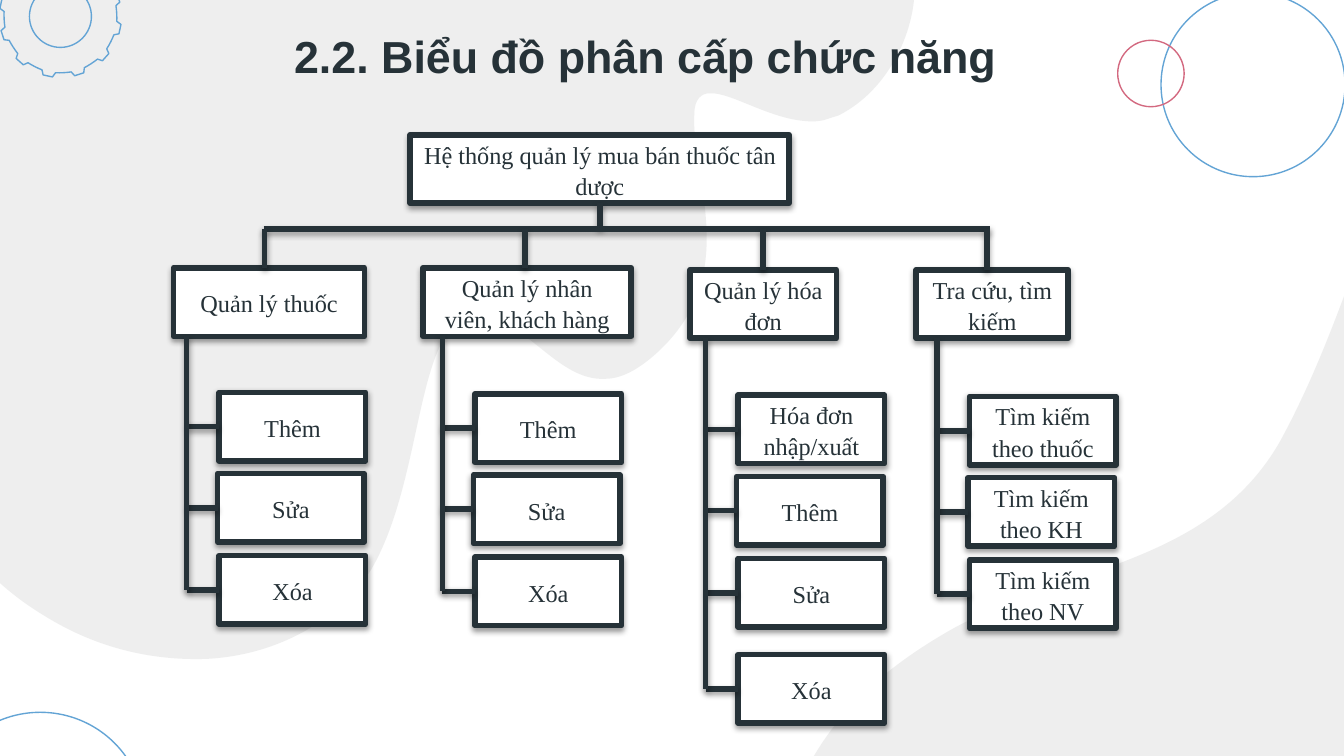
from math import cos, sin, radians
from lxml.etree import SubElement
from pptx import Presentation
from pptx.dml.color import RGBColor
from pptx.enum.shapes import MSO_CONNECTOR, MSO_SHAPE
from pptx.enum.text import MSO_ANCHOR, PP_ALIGN
from pptx.oxml.ns import qn
from pptx.util import Pt

INK, WHITE, GRAY, BLUE, ROSE = "263238", "FFFFFF", "D6D7D7", "63A4D5", "D36980"
HIGH, WIDE = 36.7, 78.5
BUS = 122.6
STEPS = [(0, 0), (-0.8, 43.5), (0, 87.5), (0, 139)]

WAVE = [
    (111, 353),
    (148, 351, 181, 333, 199, 305),
    (228, 255, 222, 171, 255, 169),
    (282, 170, 298, 204, 324, 203),
    (332, 203, 341, 199, 352, 189),
    (398, 147, 370, 95, 372, 61),
    (372, 53, 376, 50, 380, 50),
    (392, 49, 415, 66, 437, 65),
    (441, 65, 445, 63, 449, 62),
    (481, 46, 494, 6, 489, -17),
    (484, -40, 498, -70, 498, -70),
    (-78, -38),
    (-78, -38, -78, 112, -58, 212),
    (-58, 212, -43, 290, 24, 330),
    (53, 348, 83, 354, 111, 353),
]
HILL = [
    (387, 511),
    (768, 599),
    (901, 18),
    (896, 18, 800, 17, 768, 54),
    (736, 94, 724, 166, 686, 236),
    (647, 305, 565, 304, 505, 340),
    (444, 376, 426, 415, 412, 466),
    (405, 487, 396, 501, 387, 511),
]
RINGS = [
    (21.6, 437.8, 56.2, BLUE),
    (671.3, 45.4, 49.3, BLUE),
    (616.6, 39.4, 17.8, ROSE),
]

TREE = [
    ("Quản lý thuốc", 93, 143.5, 102.2, 141.8, 100, 210.2, ["Thêm", "Sửa", "Xóa"]),
    ("Quản lý nhân viên, khách hàng", 226.6, 143.5, 111.6, 281.4, 237, 211,
     ["Thêm", "Sửa", "Xóa"]),
    ("Quản lý hóa đơn", 369.6, 144.5, WIDE, None, 378, 211.7,
     ["Hóa đơn nhập/xuất", "Thêm", "Sửa", "Xóa"]),
    ("Tra cứu, tìm kiếm", 490.8, 144.5, 81.5, 528.7, 502, 212.4,
     ["Tìm kiếm theo thuốc", "Tìm kiếm theo KH", "Tìm kiếm theo NV"]),
]


def tint(code):
    """Turn a hex string into a colour."""
    return RGBColor.from_string(code)


def stroke(item, code, size):
    """Set the line colour and width of an item."""
    item.line.color.rgb = tint(code)
    item.line.width = Pt(size)


def shade(item):
    """Add a soft shadow below an item."""
    effect = SubElement(item._element.spPr, qn("a:effectLst"))
    outer = SubElement(effect, qn("a:outerShdw"), blurRad=str(Pt(3.1)),
                       dist=str(Pt(1.6)), dir="5400000", rotWithShape="0")
    color = SubElement(outer, qn("a:srgbClr"), val="000000")
    SubElement(color, qn("a:alpha"), val="38000")


def write(frame, text, font, size, bold=False):
    """Put one centred paragraph into a text frame."""
    frame.text = text
    frame.word_wrap = True
    frame.vertical_anchor = MSO_ANCHOR.MIDDLE
    line = frame.paragraphs[0]
    line.alignment = PP_ALIGN.CENTER
    face = line.runs[0].font
    face.name, face.size, face.bold = font, Pt(size), bold
    face.color.rgb = tint(INK)
    return line


def pairs(part):
    """Split flat numbers into points."""
    return [(Pt(x), Pt(y)) for x, y in zip(part[::2], part[1::2])]


def trace(slide, *loops):
    """Draw closed outlines, where six numbers mean a cubic curve."""
    pen = slide.shapes.build_freeform(*pairs(loops[0][0])[0])
    for turn, loop in enumerate(loops):
        if turn:
            pen.move_to(*pairs(loop[0])[0])
        pen.add_line_segments([dot for part in loop[1:] for dot in pairs(part)], close=True)
    shape = pen.convert_to_shape()
    shape.shadow.inherit = False
    track = next(shape._element.iter(qn("a:path")))
    nodes = iter(track.findall(qn("a:lnTo")))
    for part in [part for loop in loops for part in loop[1:]]:
        trio = [next(nodes) for _ in pairs(part)]
        if len(trio) == 3:
            curve = SubElement(track, qn("a:cubicBezTo"))
            trio[0].addprevious(curve)
            for node in trio:
                curve.append(node[0])
                track.remove(node)
    return shape


def blob(slide, parts):
    """Draw a pale wavy area."""
    shape = trace(slide, parts)
    shape.fill.solid()
    shape.fill.fore_color.rgb = tint(GRAY)
    color = shape._element.spPr.find(qn("a:solidFill"))[0]
    SubElement(color, qn("a:alpha"), val="41000")
    shape.line.fill.background()


def gear(slide, x, y, teeth=12):
    """Draw a gear with a round hole."""
    def spot(angle, reach):
        """Find a point around the centre."""
        return x + reach * cos(radians(angle)), y + reach * sin(radians(angle))

    rim = [spot(5, 30.3)]
    for part in range(teeth):
        turn = 12 + part * 360 / teeth
        rim += [spot(turn - 4.5, 32.7), spot(turn + 4.5, 32.7), spot(turn + 7, 30.3)]
        rim.append(spot(turn + 12, 30.3) + spot(turn + 18, 30.3) + spot(turn + 23, 30.3))
    hole = [spot(0, 16.6)]
    for turn in range(0, 360, 90):
        hole.append(spot(turn + 28.9, 18.96) + spot(turn + 61.1, 18.96)
                    + spot(turn + 90, 16.6))
    shape = trace(slide, rim, hole)
    shape.fill.background()
    stroke(shape, BLUE, 0.75)


def ring(slide, x, y, reach, code):
    """Draw an unfilled circle around a centre."""
    shape = slide.shapes.add_shape(MSO_SHAPE.OVAL, Pt(x - reach), Pt(y - reach),
                                   Pt(2 * reach), Pt(2 * reach))
    shape.shadow.inherit = False
    shape.fill.background()
    stroke(shape, code, 0.75)


def box(slide, text, left, top, width):
    """Draw a framed box of the tree."""
    shape = slide.shapes.add_shape(MSO_SHAPE.RECTANGLE, Pt(left), Pt(top),
                                   Pt(width), Pt(HIGH))
    shape.fill.solid()
    shape.fill.fore_color.rgb = tint(WHITE)
    stroke(shape, INK, 3)
    SubElement(shape._element.spPr.find(qn("a:ln")), qn("a:round"))
    shade(shape)
    write(shape.text_frame, text, "Times New Roman", 13).line_spacing = 1.07
    return shape


def link(slide, x1, y1, x2, y2):
    """Draw a thick straight line of the tree."""
    line = slide.shapes.add_connector(MSO_CONNECTOR.STRAIGHT,
                                      Pt(x1), Pt(y1), Pt(x2), Pt(y2))
    stroke(line, INK, 3)
    shade(line)
    return line


def branch(slide, text, left, top, width, drop, stem, first, leaves):
    """Draw one heading with its leaves and lines; no drop means the middle."""
    head = box(slide, text, left, top, width)
    if drop is None:
        mid = left + width / 2
        link(slide, mid, BUS, mid, top).end_connect(head, 0)
    else:
        link(slide, drop, BUS, drop, top)
    for name, (dx, dy) in zip(leaves, STEPS):
        x, y = stem + 17.4 + dx, first + dy
        leaf = box(slide, name, x, y, WIDE)
        mid = y + HIGH / 2
        link(slide, x, mid, stem, mid).begin_connect(leaf, 1)
    link(slide, stem, top + HIGH, stem, mid)


def main():
    """Build and save the slide."""
    deck = Presentation()
    deck.slide_width, deck.slide_height = Pt(720), Pt(405)
    slide = deck.slides.add_slide(deck.slide_layouts[6])
    blob(slide, WAVE)
    blob(slide, HILL)
    gear(slide, 32.4, 8.8)
    for item in RINGS:
        ring(slide, *item)
    title = slide.shapes.add_textbox(Pt(55.6), Pt(15), Pt(580), Pt(30))
    write(title.text_frame, "2.2. Biểu đồ phân cấp chức năng", "Arial", 24, True)
    root = box(slide, "Hệ thống quản lý mua bán thuốc tân dược", 219.8, 72.2, 203)
    link(slide, 321.3, 72.2 + HIGH, 321.3, BUS).begin_connect(root, 2)
    link(slide, 141.2, BUS, 530.5, BUS)
    for item in TREE:
        branch(slide, *item)
    deck.save("out.pptx")


if __name__ == "__main__":
    main()
